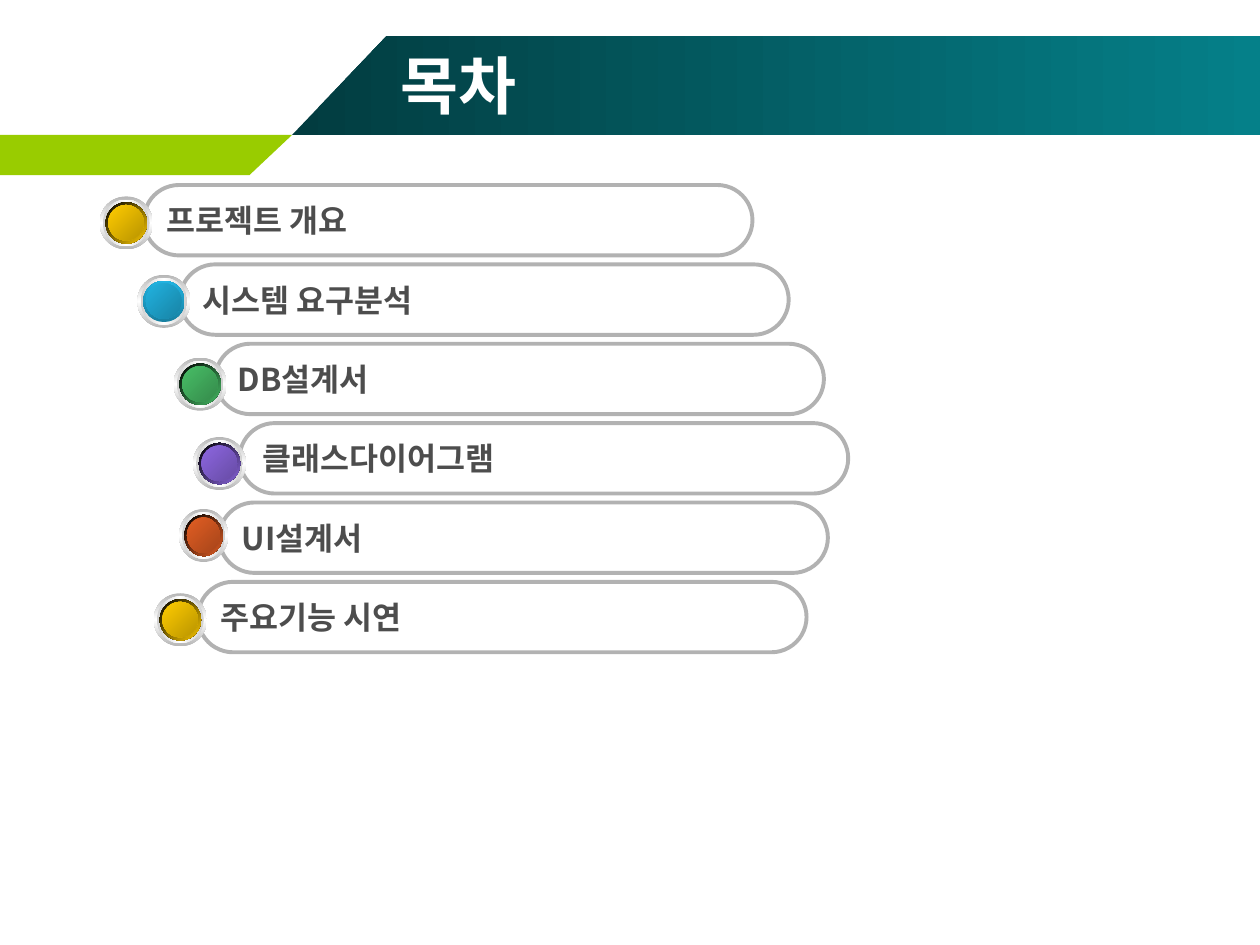
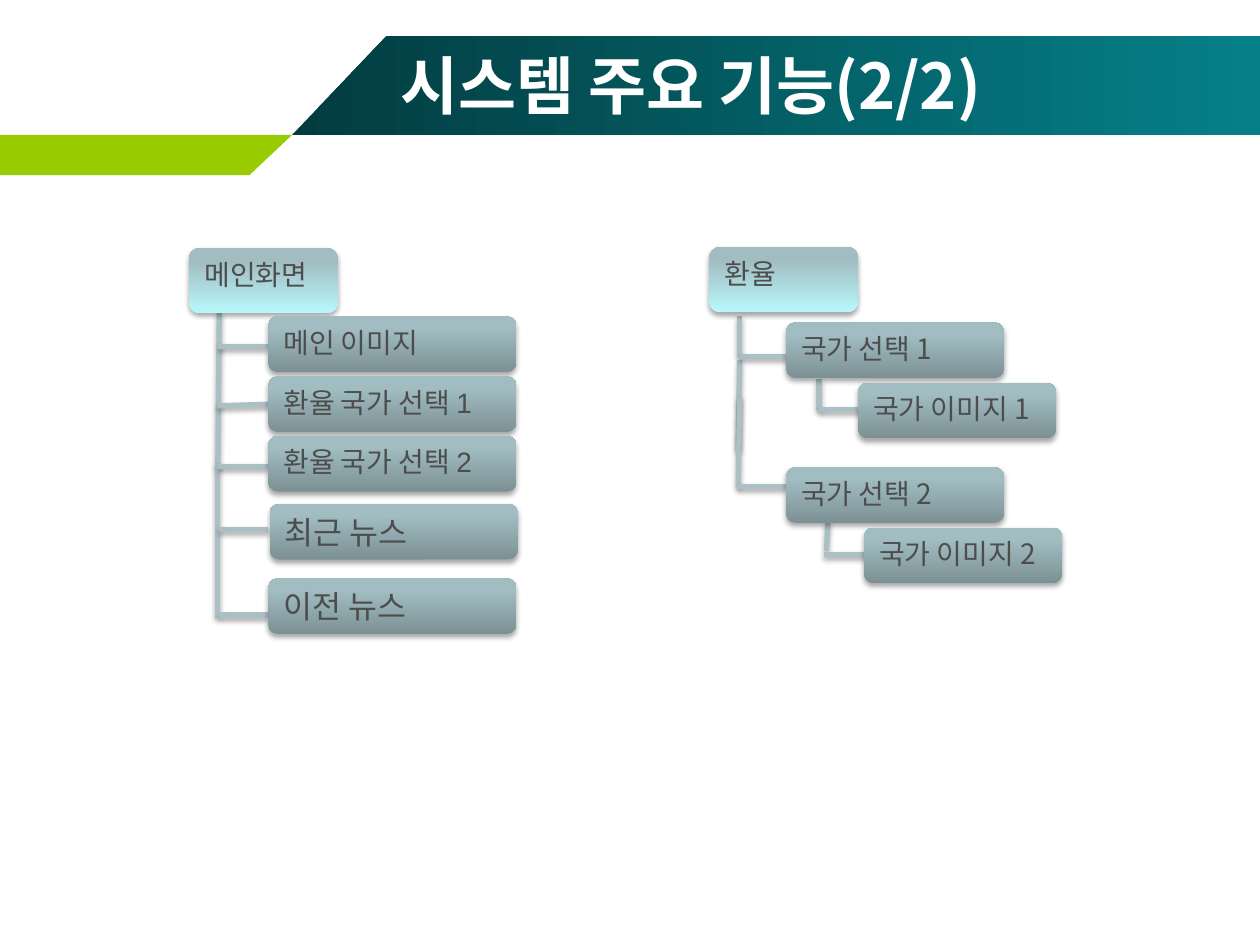
import lxml.etree
import pptx
import pptx.dml.color
import pptx.enum.shapes
import pptx.enum.text
import pptx.oxml.ns
import pptx.util

SANS, ARIAL = "Noto Sans CJK KR", "Arial"
INK, WHITE, LIME, GREY, WIRE = "4D4D4D", "FFFFFF", "99CC00", "B2B2B2", "AAC0C4"
BAND = [(0, "023C40"), (100, "058089")]
HEAD = [(0, "B8F8FC"), (80, "A1BDC2"), (100, "A1BEC3")]
NODE = [(0, "7C9195"), (80, "A1BDC2"), (100, "A1BEC3")]
STEEL = [(0, "B6B6B6"), (50, WHITE), (100, "B6B6B6")]
SILVER = [(0, "D1D1D1"), (50, WHITE), (100, "D1D1D1")]

BAND_PTS = [(5.89, 2.72), (25.4, 2.72), (25.4, 0.72), (7.8, 0.72)]
LIME_PTS = [(0, 2.72), (5.89, 2.72), (5.03, 3.53), (0, 3.53)]
TITLE_BOX = (7.82, 0.91, 16.94, 1.57)
TITLE_FONT = {"size": pptx.util.Pt(36), "bold": True}
BAR_FONT = {"size": pptx.util.Pt(18), "bold": True}

AGENDA_TITLE = "목차"
GOLD = ("000000", "FFCC00", "BA9500", 45)
AGENDA = [
    ("프로젝트 개요", 2.9, (2.01, 3.96, 1.07), GOLD),
    ("시스템 요구분석", 3.63, (2.77, 5.54, 1.07), ("1880A1", "21B3E1", "1883A4", 270)),
    ("DB설계서", 4.34, (3.5, 7.21, 1.07), ("000000", "48BE67", "358B4B", 45)),
    ("클래스다이어그램", 4.83, (3.89, 8.81, 1.07), ("000000", "8D67E1", "674BA4", 45)),
    ("UI설계서", 4.42, (3.61, 10.26, 0.99), ("000000", "E35E23", "A6451A", 45)),
    ("주요기능 시연", 3.99, (3.1, 11.96, 1.07), GOLD),
]
BAR_TOP, BAR_STEP, BAR_WIDE, BAR_HIGH = 3.73, 1.6, 12.27, 1.42
BALL_HIGH = 1.07

TREE_TITLE = "시스템 주요 기능(2/2)"
HEADS = [("메인화면", 3.81, 5.0), ("환율", 14.3, 4.98)]
HEAD_SIZE = (3.0, 1.32)
NODE_HIGH = 1.12
NODES = [
    ("메인 이미지", 5.41, 6.38, 5.0, 16, SANS),
    ("환율 국가 선택 1", 5.41, 7.59, 5.0, 16, ARIAL),
    ("환율 국가 선택 2", 5.41, 8.79, 5.0, 16, ARIAL),
    ("최근 뉴스", 5.44, 10.16, 5.0, 18, ARIAL),
    ("이전 뉴스", 5.41, 11.66, 5.0, 18, ARIAL),
    ("국가 선택 1", 15.85, 6.5, 4.39, 16, SANS),
    ("국가 이미지 1", 17.3, 7.72, 3.99, 16, SANS),
    ("국가 선택 2", 15.85, 9.42, 4.39, 16, SANS),
    ("국가 이미지 2", 17.42, 10.64, 3.99, 16, SANS),
]
TRUNKS = [
    (4.42, 6.3, 4.39, 9.4), (4.39, 9.35, 4.39, 12.45),
    (14.91, 6.38, 14.91, 7.19), (14.91, 7.26, 14.88, 9.07),
    (14.91, 8.0, 14.88, 9.8), (16.51, 7.65, 16.51, 8.26),
    (16.69, 10.52, 16.66, 11.1),
]
TWIGS = [
    (5.4, 6.99, 4.4, 6.99), (5.41, 8.15, 4.39, 8.18), (5.4, 9.4, 4.4, 9.4),
    (5.41, 10.67, 4.42, 10.67), (5.4, 12.4, 4.42, 12.4),
    (15.9, 7.19, 14.91, 7.19), (17.48, 8.26, 16.51, 8.26),
    (15.85, 9.8, 14.86, 9.8), (17.58, 11.18, 16.61, 11.18),
]

KIND = pptx.enum.shapes.MSO_SHAPE
ANCHOR = pptx.enum.text.MSO_ANCHOR
qn = pptx.oxml.ns.qn


def cm(vals):
    return [pptx.util.Cm(v) for v in vals]


def rgb(code):
    return pptx.dml.color.RGBColor.from_string(code)


def tag(parent, name, **attrs):
    return lxml.etree.SubElement(parent, qn("a:" + name), attrs)


def paint(part, stops, angle):
    part.fill.gradient()
    part.fill.gradient_angle = (360 - angle) % 360
    ramp = part._element.spPr.find(".//" + qn("a:gsLst"))
    for old in list(ramp):
        ramp.remove(old)
    for spot, code in stops:
        stop = tag(ramp, "gs", pos=str(spot * 1000))
        tag(stop, "srgbClr", val=code)


def shade(part, soft=False):
    effect = tag(part._element.spPr, "effectLst")
    if soft:
        cast = tag(effect, "outerShdw", blurRad=str(pptx.util.Pt(3.1)),
                   dist=str(pptx.util.Pt(1.8)), dir="5400000", rotWithShape="0")
        tag(tag(cast, "srgbClr", val="000000"), "alpha", val="35000")


def write(part, text, form, code=INK, face=SANS, anchor=ANCHOR.MIDDLE):
    frame = part.text_frame
    frame.word_wrap = True
    frame.vertical_anchor = anchor
    para = frame.paragraphs[0]
    para.alignment = pptx.enum.text.PP_ALIGN.LEFT
    run = para.add_run()
    run.text = text
    for key, val in {**form, "name": face}.items():
        setattr(run.font, key, val)
    run.font.color.rgb = rgb(code)
    tag(run._r.get_or_add_rPr(), "ea", typeface=SANS)


def blend(slide, kind, box, stops, angle, soft=False):
    part = slide.shapes.add_shape(kind, *cm(box))
    paint(part, stops, angle)
    part.line.fill.background()
    shade(part, soft)
    return part


def shape_band(slide, points):
    first, *rest = [cm(p) for p in points]
    path = slide.shapes.build_freeform(*first, scale=1.0)
    path.add_line_segments(rest, close=True)
    part = path.convert_to_shape()
    part.line.fill.background()
    return part


def start(deck, title):
    slide = deck.slides.add_slide(deck.slide_layouts[6])
    band = shape_band(slide, BAND_PTS)
    paint(band, BAND, 0)
    lime = shape_band(slide, LIME_PTS)
    lime.fill.solid()
    lime.fill.fore_color.rgb = rgb(LIME)
    for part in (band, lime):
        shade(part)
    write(slide.shapes.add_textbox(*cm(TITLE_BOX)), title, TITLE_FONT, WHITE)
    return slide


def draw_bar(slide, text, left, top):
    bar = slide.shapes.add_shape(KIND.ROUNDED_RECTANGLE, *cm((left, top, BAR_WIDE, BAR_HIGH)))
    bar.adjustments[0] = 0.5
    bar.fill.background()
    bar.line.color.rgb = rgb(GREY)
    bar.line.width = pptx.util.Pt(2.25)
    shade(bar)
    write(bar, text, BAR_FONT)


def draw_ball(slide, place, tones):
    left, top, wide = place
    rim, main, dark, angle = tones
    rings = [
        (0, 1, STEEL, 90),
        (0.06, 0.88, SILVER, 0),
        (0.11, 0.78, [(0, rim), (100, main)], angle),
        (0.16, 0.67, [(0, main), (100, dark)], 45),
    ]
    for inset, part, stops, turn in rings:
        box = (left + inset * wide, top + inset * BALL_HIGH, part * wide, part * BALL_HIGH)
        blend(slide, KIND.OVAL, box, stops, turn)


def draw_wire(slide, ends):
    wire = slide.shapes.add_connector(pptx.enum.shapes.MSO_CONNECTOR.STRAIGHT, *cm(ends))
    wire.line.color.rgb = rgb(WIRE)
    wire.line.width = pptx.util.Pt(3)
    shade(wire, True)


def draw_node(slide, text, box, stops, size=16, face=SANS):
    node = blend(slide, KIND.ROUNDED_RECTANGLE, box, stops, 270, True)
    write(node, text, {"size": pptx.util.Pt(size)}, face=face, anchor=ANCHOR.TOP)


def main():
    deck = pptx.Presentation()
    deck.slide_width, deck.slide_height = cm((25.4, 19.05))

    slide = start(deck, AGENDA_TITLE)
    for row, (text, left, place, tones) in enumerate(AGENDA):
        draw_bar(slide, text, left, BAR_TOP + row * BAR_STEP)
    for text, left, place, tones in AGENDA:
        draw_ball(slide, place, tones)

    slide = start(deck, TREE_TITLE)
    for ends in TRUNKS + TWIGS:
        draw_wire(slide, ends)
    for text, left, top in HEADS:
        draw_node(slide, text, (left, top, *HEAD_SIZE), HEAD)
    for text, left, top, wide, size, face in NODES:
        draw_node(slide, text, (left, top, wide, NODE_HIGH), NODE, size, face)

    deck.save("out.pptx")


if __name__ == "__main__":
    main()
